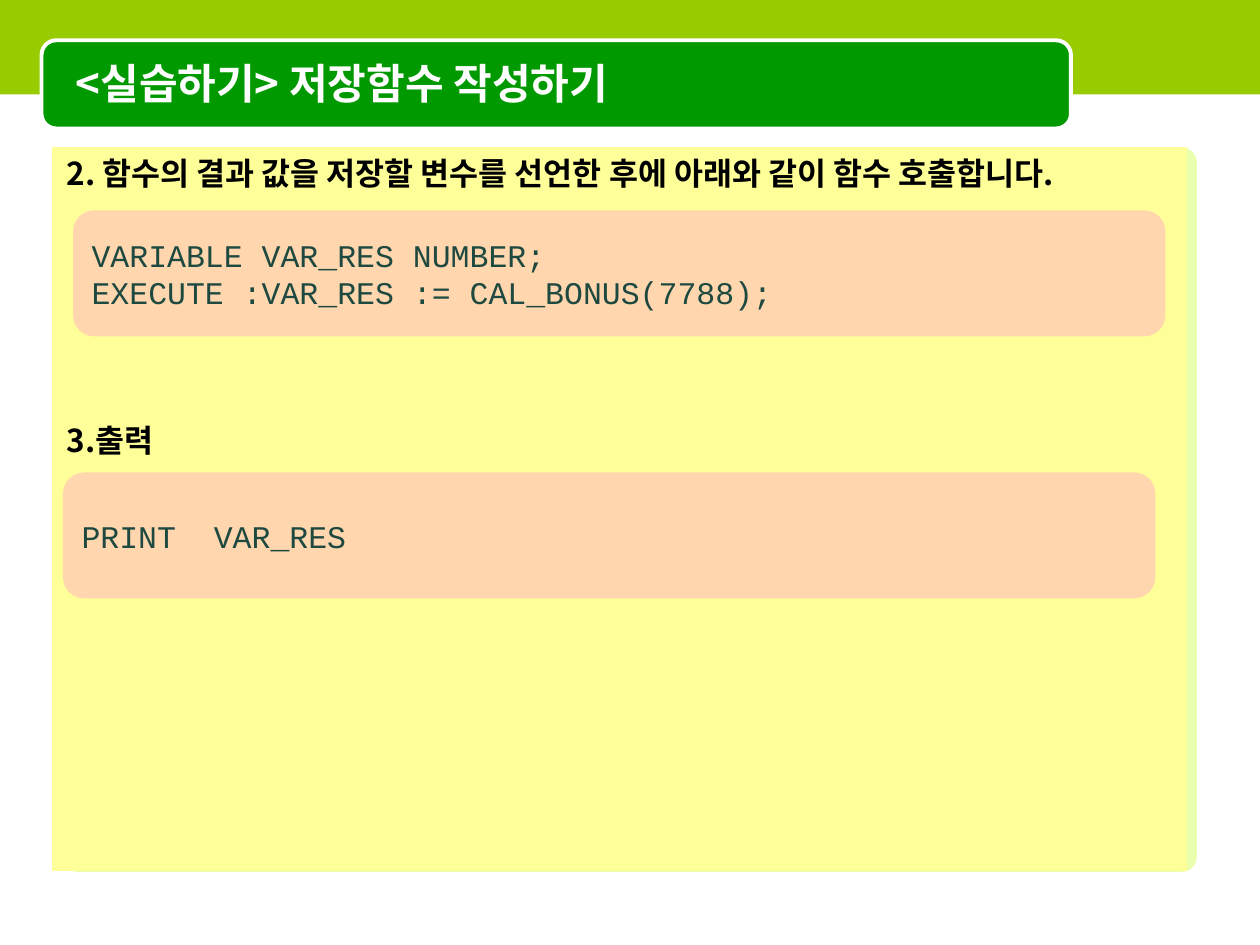
from lxml import etree
from pptx import Presentation
from pptx.dml.color import RGBColor
from pptx.enum.shapes import MSO_SHAPE
from pptx.enum.text import MSO_ANCHOR, MSO_AUTO_SIZE, PP_ALIGN
from pptx.oxml.ns import qn
from pptx.util import Inches, Pt

RECT = MSO_SHAPE.RECTANGLE
ROUNDED = MSO_SHAPE.ROUNDED_RECTANGLE
TOP, MIDDLE = MSO_ANCHOR.TOP, MSO_ANCHOR.MIDDLE
LEFT = PP_ALIGN.LEFT
NO_AUTOFIT = MSO_AUTO_SIZE.NONE
KOREAN, CODE = "Noto Sans CJK KR", "Courier New"

prs = Presentation()
prs.slide_width, prs.slide_height = Inches(10), Inches(7.5)
slide = prs.slides.add_slide(prs.slide_layouts[5])


def add_block(kind, box, fill, opacity=100, line=None, line_width=0.75, radius=None):
    block = slide.shapes.add_shape(kind, *map(Inches, box))
    block.shadow.inherit = False
    block.fill.solid()
    block.fill.fore_color.rgb = RGBColor.from_string(fill)
    if opacity < 100:
        color = block.fill._xPr.find(".//" + qn("a:srgbClr"))
        etree.SubElement(color, qn("a:alpha"), val=str(opacity * 1000))
    if line:
        block.line.color.rgb = RGBColor.from_string(line)
        block.line.width = Pt(line_width)
    else:
        block.line.fill.background()
    if radius:
        block.adjustments[0] = radius
    return block


def write_lines(block, lines, font, size, color, bold=False, anchor=MIDDLE, wrap=True):
    frame = block.text_frame
    frame_format = {"auto_size": NO_AUTOFIT, "word_wrap": wrap, "vertical_anchor": anchor}
    for name, value in frame_format.items():
        setattr(frame, name, value)
    frame.text = "\n".join(lines)
    run_format = {"name": font, "size": Pt(size), "bold": bold}
    for paragraph in frame.paragraphs:
        paragraph.alignment = LEFT
        run_font = paragraph.runs[0].font
        for name, value in run_format.items():
            setattr(run_font, name, value)
        run_font.color.rgb = RGBColor.from_string(color)
        etree.SubElement(run_font._element, qn("a:ea"), typeface=font)
    return frame.paragraphs


add_block(ROUNDED, (0.5, 1.17, 9, 5.75), "CCFF33", opacity=40, radius=0.021)
add_block(RECT, (0, 0, 10, 0.75), "99CC00")
add_block(ROUNDED, (0.33, 0.32, 8.17, 0.7), "009900", line="FFFFFF", line_width=2.25, radius=0.167)

title = slide.shapes.title
title.left, title.top, title.width, title.height = map(Inches, (0.5, 0.35, 7.92, 0.62))
write_lines(title, ["<실습하기> 저장함수 작성하기"], KOREAN, 24, "FFFFFF", bold=True)
slide.shapes._spTree.append(title._element)

panel = add_block(RECT, (0.42, 1.17, 9, 5.74), "FFFF99", line="FFFF99")
steps = write_lines(
    panel,
    ["2. 함수의 결과 값을 저장할 변수를 선언한 후에 아래와 같이 함수 호출합니다.", "3.출력"],
    KOREAN, 18, "000000", bold=True, anchor=TOP,
)
for step, space_before in zip(steps, (4.5, 131)):
    step.space_before = Pt(space_before)
    properties = step._p.get_or_add_pPr()
    properties.set("marL", str(Inches(0.38)))
    properties.set("indent", str(Inches(-0.37)))

code_samples = [
    (0.58, 1.67, ["VARIABLE VAR_RES NUMBER;", "EXECUTE :VAR_RES := CAL_BONUS(7788);"]),
    (0.5, 3.75, ["PRINT  VAR_RES"]),
]
for left, top, code_lines in code_samples:
    code_box = add_block(ROUNDED, (left, top, 8.67, 1), "FF99CC", opacity=40, radius=0.167)
    write_lines(code_box, code_lines, CODE, 18, "1D4940", wrap=False)

prs.save("out.pptx")
